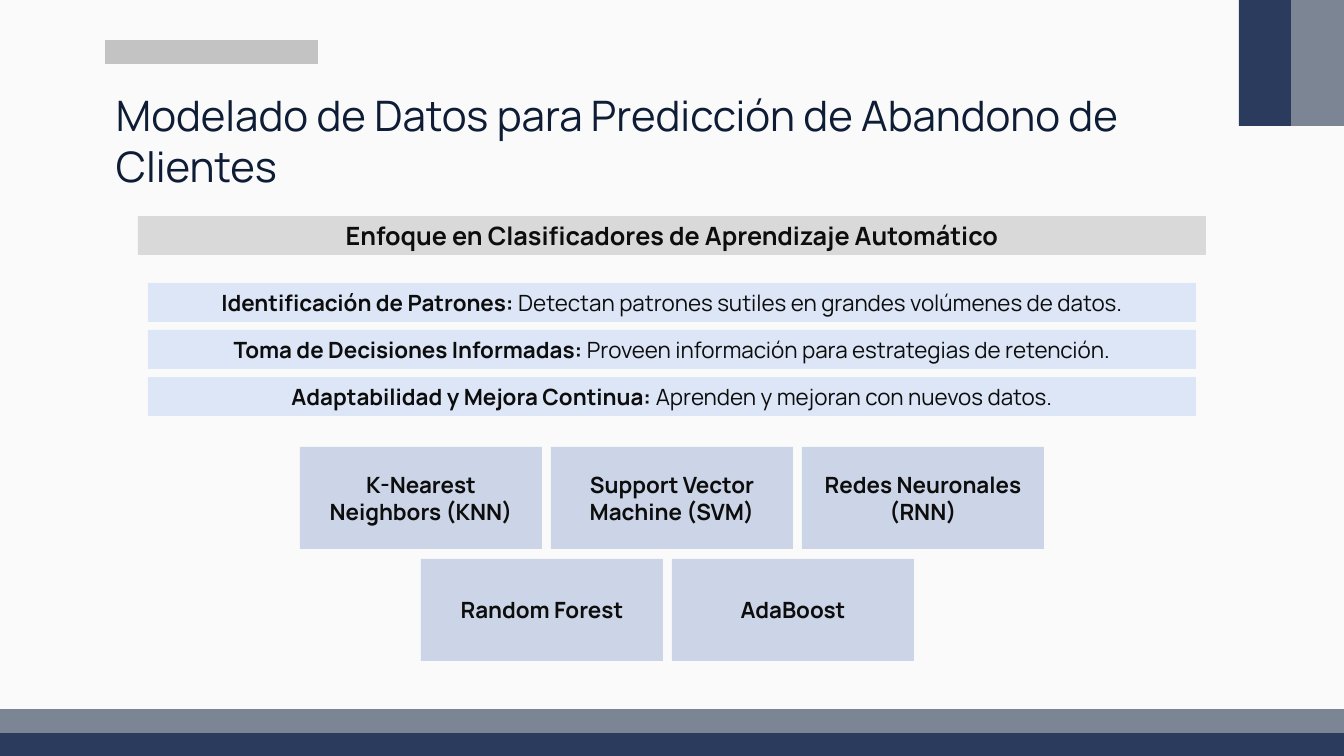
from pptx import Presentation
from pptx.dml.color import RGBColor
from pptx.enum.shapes import MSO_SHAPE
from pptx.enum.text import MSO_ANCHOR, MSO_AUTO_SIZE, PP_ALIGN
from pptx.util import Emu, Pt

RECT = MSO_SHAPE.RECTANGLE
TOP, MIDDLE = MSO_ANCHOR.TOP, MSO_ANCHOR.MIDDLE
LEFT, CENTER = PP_ALIGN.LEFT, PP_ALIGN.CENTER
NO_AUTOFIT = MSO_AUTO_SIZE.NONE

WIDTH, HEIGHT = 1344, 756
EMU_PER_PX = 914400 / 100.8
FONT = "Manrope"

PAPER = RGBColor(0xFA, 0xFA, 0xFA)
SILVER = RGBColor(0xC3, 0xC3, 0xC3)
NAVY = RGBColor(0x2B, 0x3B, 0x5D)
SLATE = RGBColor(0x7C, 0x85, 0x94)
TITLE_INK = RGBColor(0x0E, 0x1D, 0x35)
INK = RGBColor(0x0D, 0x0D, 0x0D)
HEADING_FILL = RGBColor(0xD9, 0xD9, 0xD9)
BENEFIT_FILL = RGBColor(0xDC, 0xE6, 0xF6)
MODEL_FILL = RGBColor(0xCC, 0xD5, 0xE7)

DECOR = [
    (105, 40, 213, 24, SILVER),
    (0, 733, WIDTH, 23, NAVY),
    (0, 709, WIDTH, 24, SLATE),
    (1291, 0, 53, 126, SLATE),
    (1239, 0, 52, 126, NAVY),
]
BENEFITS = [
    ("Identificación de Patrones: ",
     "Detectan patrones sutiles en grandes volúmenes de datos."),
    ("Toma de Decisiones Informadas: ",
     "Proveen información para estrategias de retención."),
    ("Adaptabilidad y Mejora Continua: ",
     "Aprenden y mejoran con nuevos datos."),
]
MODEL_ROWS = [
    ["K-Nearest Neighbors (KNN)", "Support Vector Machine (SVM)",
     "Redes Neuronales (RNN)"],
    ["Random Forest", "AdaBoost"],
]


def px(n):
    return Emu(round(n * EMU_PER_PX))


def style_run(r, size, color, bold):
    r.font.name = FONT
    r.font.size = Pt(size)
    r.font.color.rgb = color
    r.font.bold = bold


def add_rect(slide, x, y, w, h, fill):
    s = slide.shapes.add_shape(RECT, px(x), px(y), px(w), px(h))
    s.shadow.inherit = False
    s.fill.solid()
    s.fill.fore_color.rgb = fill
    s.line.fill.background()
    return s


def add_label(slide, x, y, w, h, fill, size, strong, plain=""):
    tf = add_rect(slide, x, y, w, h, fill).text_frame
    tf.word_wrap = True
    tf.vertical_anchor = MIDDLE
    p = tf.paragraphs[0]
    p.alignment = CENTER
    for text, bold in ((strong, True), (plain, False)):
        if text:
            r = p.add_run()
            r.text = text
            style_run(r, size, INK, bold)


def set_title(slide, text):
    s = slide.shapes.title
    s.left, s.top, s.width, s.height = px(106), px(80), px(1132), px(85)
    tf = s.text_frame
    tf.text = text
    tf.word_wrap = True
    tf.auto_size = NO_AUTOFIT
    tf.vertical_anchor = TOP
    tf.margin_left = tf.margin_right = px(10)
    tf.margin_top = tf.margin_bottom = px(10)
    p = tf.paragraphs[0]
    p.alignment = LEFT
    style_run(p.runs[0], 30, TITLE_INK, False)


def add_benefits(slide):
    for i, (name, detail) in enumerate(BENEFITS):
        add_label(slide, 148, 283 + 47 * i, 1048, 39, BENEFIT_FILL, 16,
                  name, detail)


def add_models(slide):
    w, h, gap = 242, 102, 9
    for row, names in enumerate(MODEL_ROWS):
        row_width = len(names) * (w + gap) - gap
        left = (WIDTH - row_width) // 2
        if row:
            left -= 4
        for col, name in enumerate(names):
            add_label(slide, left + col * (w + gap), 447 + 112 * row, w, h,
                      MODEL_FILL, 16, name)


def main():
    prs = Presentation()
    prs.slide_width, prs.slide_height = px(WIDTH), px(HEIGHT)
    slide = prs.slides.add_slide(prs.slide_layouts[5])
    slide.background.fill.solid()
    slide.background.fill.fore_color.rgb = PAPER
    for bar in DECOR:
        add_rect(slide, *bar)
    set_title(slide, "Modelado de Datos para Predicción de Abandono de Clientes")
    add_label(slide, 138, 216, 1068, 39, HEADING_FILL, 18,
              "Enfoque en Clasificadores de Aprendizaje Automático")
    add_benefits(slide)
    add_models(slide)
    prs.save("out.pptx")


if __name__ == "__main__":
    main()
